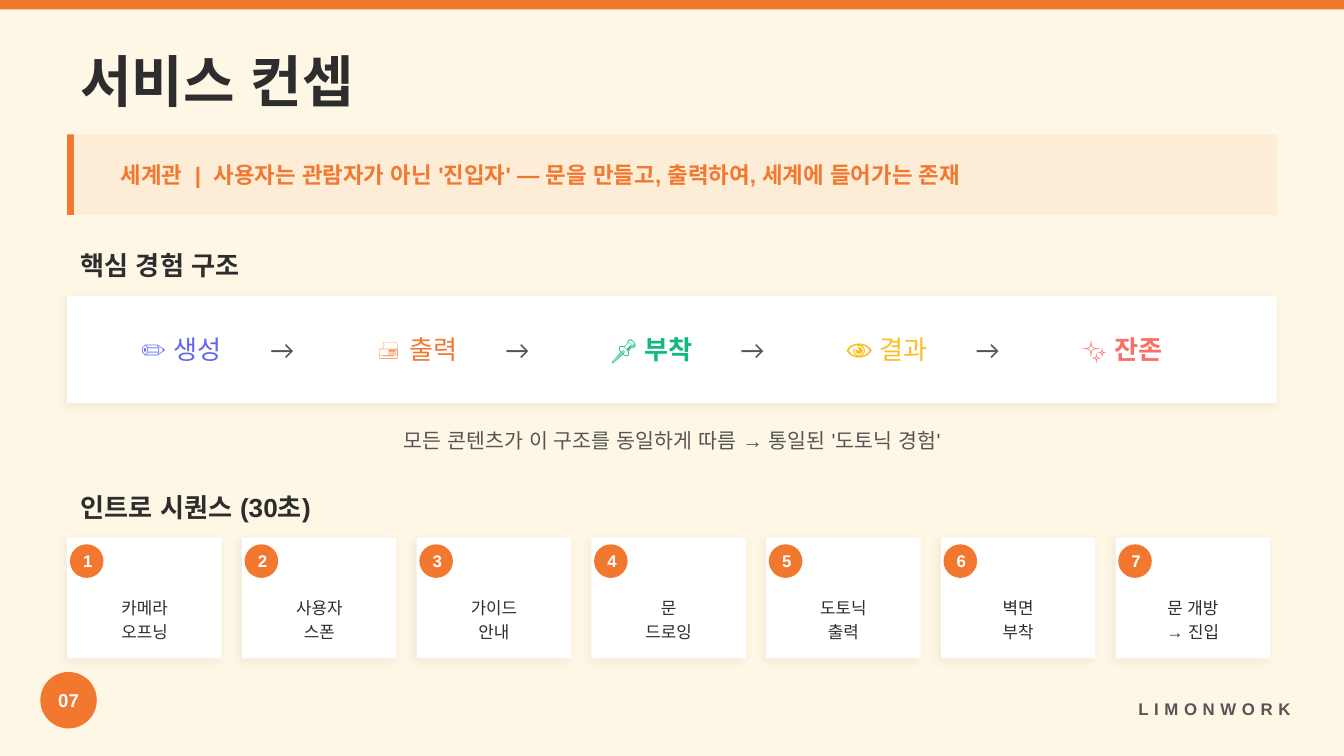
from dataclasses import dataclass

from lxml import etree
from pptx import Presentation
from pptx.dml.color import RGBColor
from pptx.enum.shapes import MSO_SHAPE
from pptx.enum.text import MSO_ANCHOR, PP_ALIGN
from pptx.oxml.ns import qn
from pptx.util import Inches, Pt

# Content
TITLE = "서비스 컨셉"
WORLDVIEW = "세계관  |  사용자는 관람자가 아닌 '진입자' — 문을 만들고, 출력하여, 세계에 들어가는 존재"
FLOW_HEADING = "핵심 경험 구조"
FLOW = [
    ("✏️ 생성", "6366F1"),
    ("🖨️ 출력", "F27830"),
    ("📌 부착", "10B981"),
    ("👁️ 결과", "FBBF24"),
    ("✨ 잔존", "F97066"),
]
FLOW_NOTE = "모든 콘텐츠가 이 구조를 동일하게 따름 → 통일된 '도토닉 경험'"
INTRO_HEADING = "인트로 시퀀스 (30초)"
INTRO = [
    ("카메라", "오프닝"),
    ("사용자", "스폰"),
    ("가이드", "안내"),
    ("문", "드로잉"),
    ("도토닉", "출력"),
    ("벽면", "부착"),
    ("문 개방", "→ 진입"),
]
PAGE, FOOTER = "07", "LIMONWORK"


@dataclass(frozen=True)
class Theme:
    """Colours, fonts and type sizes."""
    background: str = "FFF7E6"
    accent: str = "F27830"
    ink: str = "2D2D2D"
    muted: str = "555555"
    white: str = "FFFFFF"
    body: str = "Arial"
    display: str = "Montserrat"
    arrow: str = "Calibri"
    title: int = 30
    heading: int = 14
    lead: int = 12
    note: int = 11
    page: int = 10
    small: int = 9


T = Theme()
WIDTH, HEIGHT = 10, 10 * 9 / 16
LEFT, CONTENT = 0.5, 9
FLOW_TOP, FLOW_PITCH = 2.2, 1.75
CARD_TOP, CARD_W, CARD_GAP = 4, 1.15, 0.15

prs = Presentation()
prs.slide_width, prs.slide_height = Inches(WIDTH), Inches(HEIGHT)
slide = prs.slides.add_slide(prs.slide_layouts[6])
slide.background.fill.solid()
slide.background.fill.fore_color.rgb = RGBColor.from_string(T.background)


def add_block(box, color, kind=MSO_SHAPE.RECTANGLE, opacity=None):
    """Draw a filled shape without outline or shadow."""
    shape = slide.shapes.add_shape(kind, *map(Inches, box))
    shape.shadow.inherit = False
    shape.fill.solid()
    shape.fill.fore_color.rgb = RGBColor.from_string(color)
    shape.line.fill.background()
    if opacity is not None:
        clr = shape.fill._xPr.find(".//" + qn("a:srgbClr"))
        etree.SubElement(clr, qn("a:alpha"), val=str(opacity * 1000))
    return shape


def add_card(box):
    """Draw a white panel with a faint soft shadow."""
    effects = add_block(box, T.white)._element.spPr.find(qn("a:effectLst"))
    shadow = etree.SubElement(
        effects, qn("a:outerShdw"), blurRad=str(Pt(5)), dist=str(Pt(2)),
        dir=str(135 * 60000), algn="bl", rotWithShape="0")
    clr = etree.SubElement(shadow, qn("a:srgbClr"), val="000000")
    etree.SubElement(clr, qn("a:alpha"), val="6000")


def add_text(box, lines, size, color, bold=False, align=PP_ALIGN.LEFT,
             font=T.body, spacing=None, tracking=None):
    """Write one paragraph per line, vertically centred in the box."""
    frame = slide.shapes.add_textbox(*map(Inches, box)).text_frame
    frame.word_wrap = True
    frame.vertical_anchor = MSO_ANCHOR.MIDDLE
    for i, line in enumerate(lines):
        para = frame.add_paragraph() if i else frame.paragraphs[0]
        para.alignment = align
        if spacing:
            para.line_spacing = spacing
        run = para.add_run()
        run.text = line
        run.font.size, run.font.bold, run.font.name = Pt(size), bold, font
        run.font.color.rgb = RGBColor.from_string(color)
        props = run._r.get_or_add_rPr()
        for script in ("a:ea", "a:cs"):
            etree.SubElement(props, qn(script), typeface=font)
        if tracking:
            props.set("spc", str(tracking * 100))


def add_badge(x, y, diameter, label, size):
    """Draw a numbered accent circle."""
    box = (x, y, diameter, diameter)
    add_block(box, T.accent, MSO_SHAPE.OVAL)
    add_text(box, [label], size, T.white, True, PP_ALIGN.CENTER)


def add_frame():
    """Draw the top bar, page number, footer and title."""
    add_block((0, 0, WIDTH, 0.07), T.accent)
    add_badge(0.3, 5, 0.42, PAGE, T.page)
    add_text((8, 5.15, 1.7, 0.25), [FOOTER], T.small, T.muted, True,
             PP_ALIGN.RIGHT, tracking=3)
    add_text((LEFT, 0.3, 6, 0.6), [TITLE], T.title, T.ink, True, font=T.display)


def add_worldview():
    """Draw the tinted banner with its accent edge."""
    add_block((LEFT, 1, CONTENT, 0.6), T.accent, opacity=8)
    add_block((LEFT, 1, 0.05, 0.6), T.accent)
    add_text((0.8, 1, 8.5, 0.6), [WORLDVIEW], T.lead, T.accent, True)


def add_flow():
    """Lay out the experience steps with arrows between them."""
    add_text((LEFT, 1.8, 3, 0.35), [FLOW_HEADING], T.heading, T.ink, True)
    add_card((LEFT, FLOW_TOP, CONTENT, 0.8))
    for i, (label, color) in enumerate(FLOW):
        x, y = LEFT + 0.2 + i * FLOW_PITCH, FLOW_TOP + 0.1
        add_text((x, y, 1.3, 0.6), [label], T.heading, color, True,
                 PP_ALIGN.CENTER)
        if i < len(FLOW) - 1:
            add_text((x + 1.2, y, 0.4, 0.6), ["→"], T.heading, T.muted,
                     align=PP_ALIGN.CENTER, font=T.arrow)
    add_text((LEFT, 3.1, CONTENT, 0.35), [FLOW_NOTE], T.note, T.muted,
             align=PP_ALIGN.CENTER)


def add_intro():
    """Lay out the numbered intro cards in one row."""
    add_text((LEFT, 3.6, 4, 0.35), [INTRO_HEADING], T.heading, T.ink, True)
    for i, lines in enumerate(INTRO):
        x = LEFT + i * (CARD_W + CARD_GAP)
        add_card((x, CARD_TOP, CARD_W, 0.9))
        add_badge(x + 0.02, CARD_TOP + 0.05, 0.25, str(i + 1), T.small)
        add_text((x + 0.05, CARD_TOP + 0.32, CARD_W - 0.1, 0.55), lines,
                 T.small, T.ink, align=PP_ALIGN.CENTER, spacing=1.2)


add_frame()
add_worldview()
add_flow()
add_intro()
prs.save("out.pptx")
